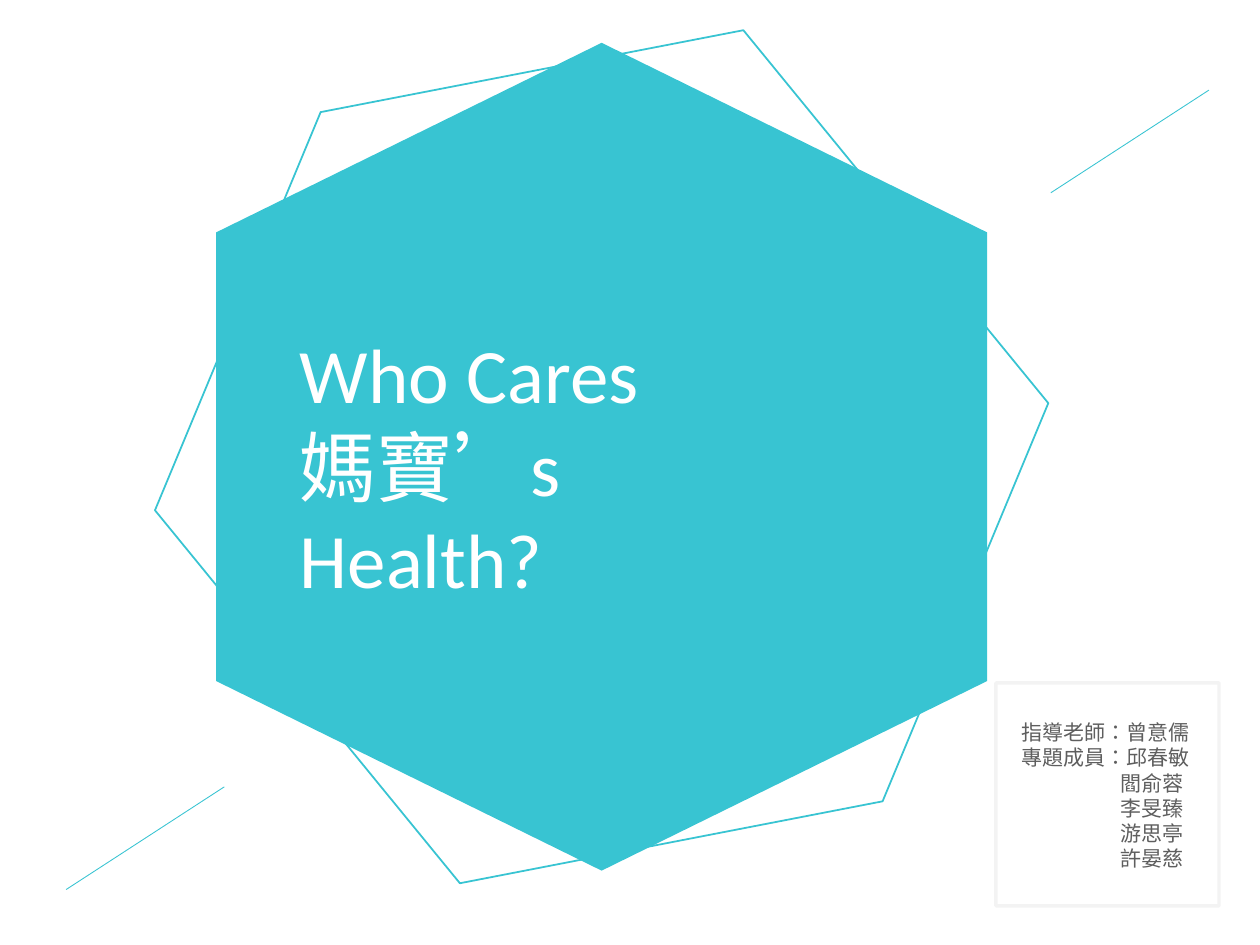
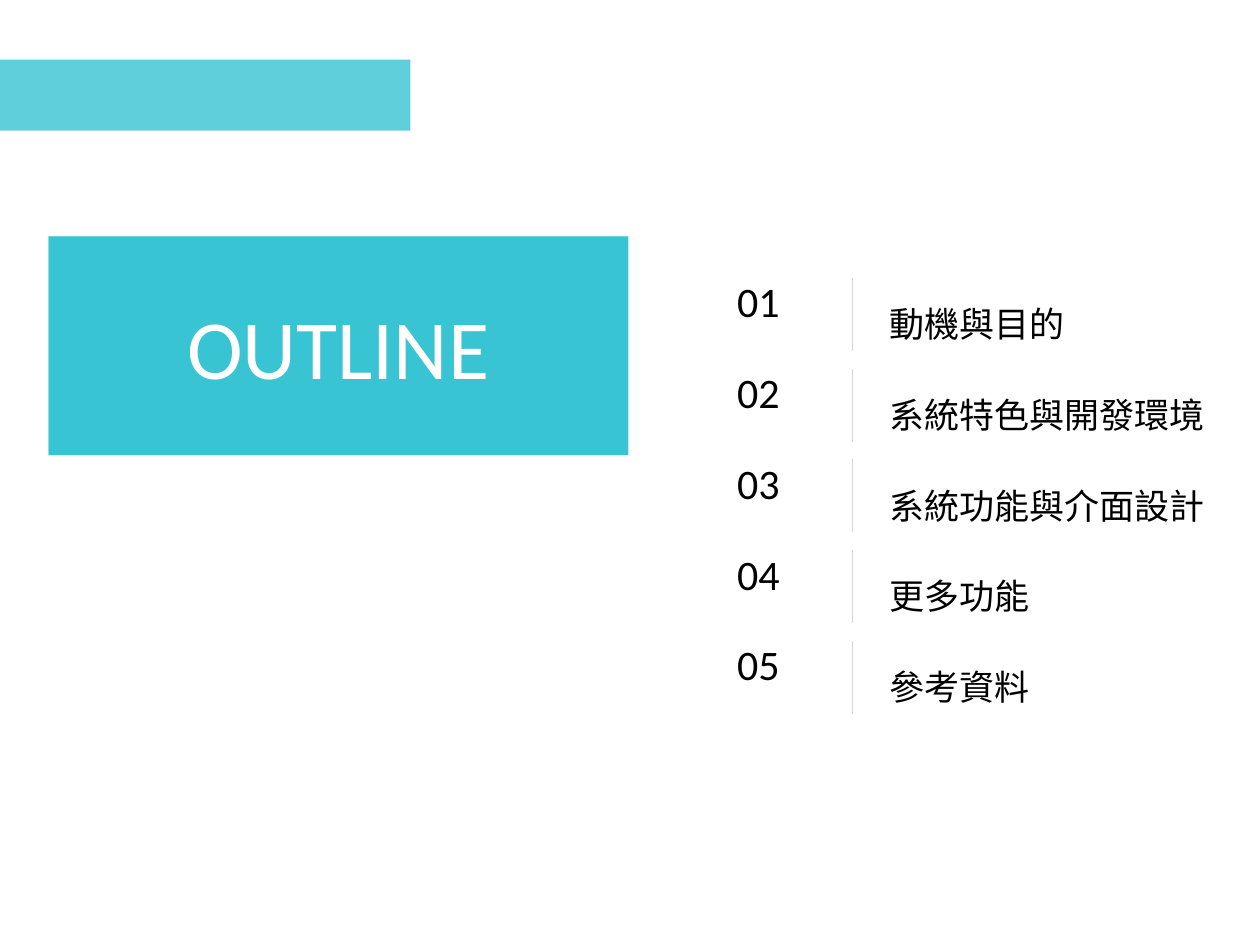
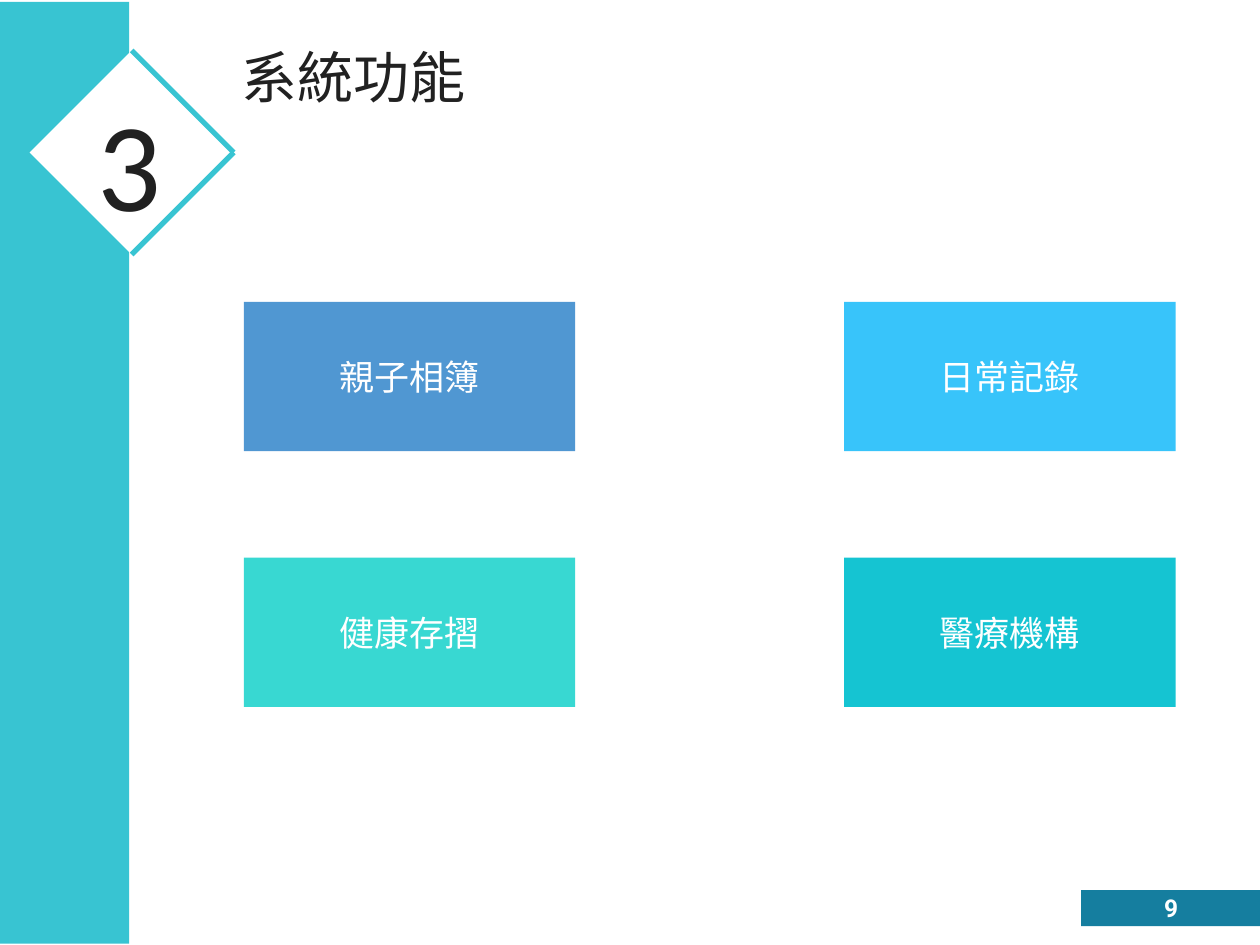
import pptx
import pptx.dml.color
import pptx.enum.lang
import pptx.enum.shapes
import pptx.enum.text
import pptx.oxml
import pptx.oxml.ns
import pptx.util

Inches = pptx.util.Inches
Pt = pptx.util.Pt
SHAPE = pptx.enum.shapes.MSO_SHAPE
ALIGN = pptx.enum.text.PP_ALIGN
ANCHOR = pptx.enum.text.MSO_ANCHOR

COLORS = {
    "teal": "38C4D2",
    "white": "FFFFFF",
    "black": "000000",
    "ink": "212121",
    "gray": "5E5E5E",
    "frame": "D9D9D9",
    "divider": "D5D5D5",
    "album": "5097D2",
    "diary": "38C4FA",
    "health": "38D8D2",
    "clinic": "15C4D2",
    "footer": "157E9F",
}
FONT = "Calibri"
TITLE_LAYOUT, TWO_LISTS_LAYOUT, TITLE_ONLY_LAYOUT = 0, 3, 5


def rgb(color):
    return pptx.dml.color.RGBColor.from_string(COLORS[color])


def add_xml(parent, tag, **attributes):
    child = pptx.oxml.parse_xml(f"<a:{tag} {pptx.oxml.ns.nsdecls('a')}/>")
    for key, value in attributes.items():
        child.set(key, str(value))
    parent.append(child)


def set_all(target, values):
    for key, value in values.items():
        setattr(target, key, value)


def place(shape, left, top, width, height):
    set_all(shape, {"left": Inches(left), "top": Inches(top),
                    "width": Inches(width), "height": Inches(height)})


def paint(shape, fill=None, line=None, weight=1, fill_alpha=100, line_alpha=100):
    """Fill and outline a shape; alphas are percent of opacity."""
    for part, color in ((shape.fill, fill), (shape.line.fill, line)):
        if color:
            part.solid()
            part.fore_color.rgb = rgb(color)
        else:
            part.background()
    if line:
        shape.line.width = Pt(weight)
    properties = shape._element.spPr
    for query, alpha in (("./a:solidFill/*", fill_alpha),
                         ("./a:ln/a:solidFill/*", line_alpha)):
        if alpha < 100:
            add_xml(properties.xpath(query)[0], "alpha", val=alpha * 1000)


def write(shape, lines, size, color, align=ALIGN.LEFT, inset=0.1, font=FONT,
          bold=False, anchor=ANCHOR.MIDDLE, pitch=1.0, indents=None):
    """Write one paragraph per line; indents holds a left margin for each."""
    frame = shape.text_frame
    margin = Inches(inset)
    set_all(frame, {
        "text": "\n".join(lines), "word_wrap": True, "vertical_anchor": anchor,
        "auto_size": pptx.enum.text.MSO_AUTO_SIZE.NONE,
        "margin_left": margin, "margin_right": margin,
        "margin_top": margin, "margin_bottom": margin,
    })
    for paragraph, indent in zip(frame.paragraphs, indents or [0] * len(lines)):
        set_all(paragraph, {"alignment": align, "line_spacing": pitch,
                            "space_before": Pt(0), "space_after": Pt(0)})
        properties = paragraph._p.get_or_add_pPr()
        properties.set("marL", str(Inches(indent)))
        properties.set("indent", "0")
        add_xml(properties, "buNone")
        for run in paragraph.runs:
            set_all(run.font, {
                "size": Pt(size), "name": font, "bold": bold,
                "language_id": pptx.enum.lang.MSO_LANGUAGE_ID.TRADITIONAL_CHINESE,
            })
            run.font.color.rgb = rgb(color)


def add_shape(slide, kind, box, **look):
    shape = slide.shapes.add_shape(kind, *(Inches(length) for length in box))
    shape.shadow.inherit = False
    paint(shape, **look)
    return shape


def add_line(slide, start, end, color, weight=1):
    line = slide.shapes.add_connector(
        pptx.enum.shapes.MSO_CONNECTOR.STRAIGHT,
        *(Inches(length) for length in (*start, *end)))
    line.line.color.rgb = rgb(color)
    line.line.width = Pt(weight)
    add_xml(line._element.spPr, "effectLst")


def add_hexagon(slide, center, half, **look):
    """Draw three corner offsets and their reflections through the center."""
    offsets = half + [(-x, -y) for x, y in half]
    corners = [(Inches(center[0] + x), Inches(center[1] + y)) for x, y in offsets]
    builder = slide.shapes.build_freeform(*corners[0])
    builder.add_line_segments(corners[1:], close=True)
    hexagon = builder.convert_to_shape()
    hexagon.shadow.inherit = False
    paint(hexagon, **look)


def credits_panel(slide, left, top, size):
    add_shape(slide, SHAPE.RECTANGLE, (left, top, size, size),
              line="frame", weight=4, line_alpha=30)
    credits = slide.placeholders[1]
    place(credits, left + 0.3, top + 0.31, size - 0.4, 2.95)
    lines = ["指導老師：曾意儒", "專題成員：邱春敏", "閻俞蓉", "李旻臻", "游思亭", "許晏慈"]
    write(credits, lines, 24, "gray", indents=[0, 0] + [1.57] * 4)


def cover_slide(deck):
    slide = deck.slides.add_slide(deck.slide_layouts[TITLE_LAYOUT])
    center = (9.55, 7.25)
    add_hexagon(slide, center, [(0, -6.57), (6.12, -3.56), (6.12, 3.56)], fill="teal")
    add_hexagon(slide, center, [(-4.46, -5.47), (2.25, -6.77), (7.09, -0.85)],
                line="teal", weight=2)
    for left, top in ((16.68, 1.43), (1.05, 12.49)):
        add_line(slide, (left + 2.51, top), (left, top + 1.63), "teal")
    title = slide.shapes.title
    slide.shapes._spTree.append(title._element)
    place(title, 4.66, 5.58, 7.97, 3.62)
    write(title, ["Who Cares", "媽寶’s Health?"], 88, "white")
    credits_panel(slide, 15.81, 10.84, 3.54)


def topic_list(slide, left, top, pitch):
    topics = ["動機與目的", "系統特色與開發環境", "系統功能與介面設計", "更多功能", "參考資料"]
    numbers = [f"{position:02}" for position in range(1, len(topics) + 1)]
    height = pitch * len(topics) + 0.1
    columns = ((1, numbers, 48, 0, -0.72, 1.17), (2, topics, 40, 2.42, -0.43, 5.5))
    for index, lines, size, shift, drop, width in columns:
        column = slide.placeholders[index]
        place(column, left + shift, top + drop, width, height)
        write(column, lines, size, "black", inset=0.05, anchor=ANCHOR.TOP,
              pitch=Pt(pitch * 72))
    for row in range(len(topics)):
        y = top + row * pitch
        add_line(slide, (left + 1.88, y), (left + 1.88, y + 1.16), "divider")


def outline_slide(deck):
    slide = deck.slides.add_slide(deck.slide_layouts[TWO_LISTS_LAYOUT])
    title = slide.shapes.title
    place(title, 0.77, 3.75, 9.2, 3.47)
    paint(title, fill="teal", line="teal", line_alpha=30)
    write(title, ["OUTLINE"], 96, "white", ALIGN.CENTER, 0.05)
    add_shape(slide, SHAPE.RECTANGLE, (-0.02, 0.95, 6.53, 1.12),
              fill="teal", line="teal", fill_alpha=80, line_alpha=30)
    topic_list(slide, 11.65, 4.41, 1.44)


def number_badge(slide, left, top, size, number):
    add_shape(slide, SHAPE.DIAMOND, (left, top, size, size), fill="white")
    middle = left + size / 2
    tip = (left + size, top + size / 2)
    for y in (top, top + size):
        add_line(slide, (middle, y), tip, "teal", 6)
    box = (middle - 0.79, top + 0.26, 1.5, 3.01)
    label = slide.shapes.add_textbox(*(Inches(length) for length in box))
    write(label, [number], 144, "ink", ALIGN.CENTER)


def feature_grid(slide, left, top):
    features = [("親子相簿", "album"), ("日常記錄", "diary"),
                ("健康存摺", "health"), ("醫療機構", "clinic")]
    for index, (name, color) in enumerate(features):
        row, column = divmod(index, 2)
        box = (left + column * 9.53, top + row * 4.06, 5.26, 2.37)
        card = add_shape(slide, SHAPE.RECTANGLE, box, fill=color)
        write(card, [name], 40, "white", ALIGN.CENTER, 0.05)


def features_slide(deck):
    slide = deck.slides.add_slide(deck.slide_layouts[TITLE_ONLY_LAYOUT])
    add_shape(slide, SHAPE.RECTANGLE, (-0.06, 0.03, 2.11, 14.95), fill="teal")
    number_badge(slide, 0.47, 0.8, 3.24, "3")
    title = slide.shapes.title
    place(title, 3.74, 0.49, 8.58, 1.45)
    write(title, ["系統功能"], 64, "ink")
    feature_grid(slide, 3.87, 4.79)
    footer = add_shape(slide, SHAPE.RECTANGLE, (17.16, 14.13, 2.86, 0.57), fill="footer")
    write(footer, ["9"], 28, "white", ALIGN.CENTER, 0.05, font="Roboto", bold=True)


def main():
    deck = pptx.Presentation()
    set_all(deck, {"slide_width": Inches(20), "slide_height": Inches(15)})
    for build in (cover_slide, outline_slide, features_slide):
        build(deck)
    deck.save("out.pptx")


if __name__ == "__main__":
    main()
